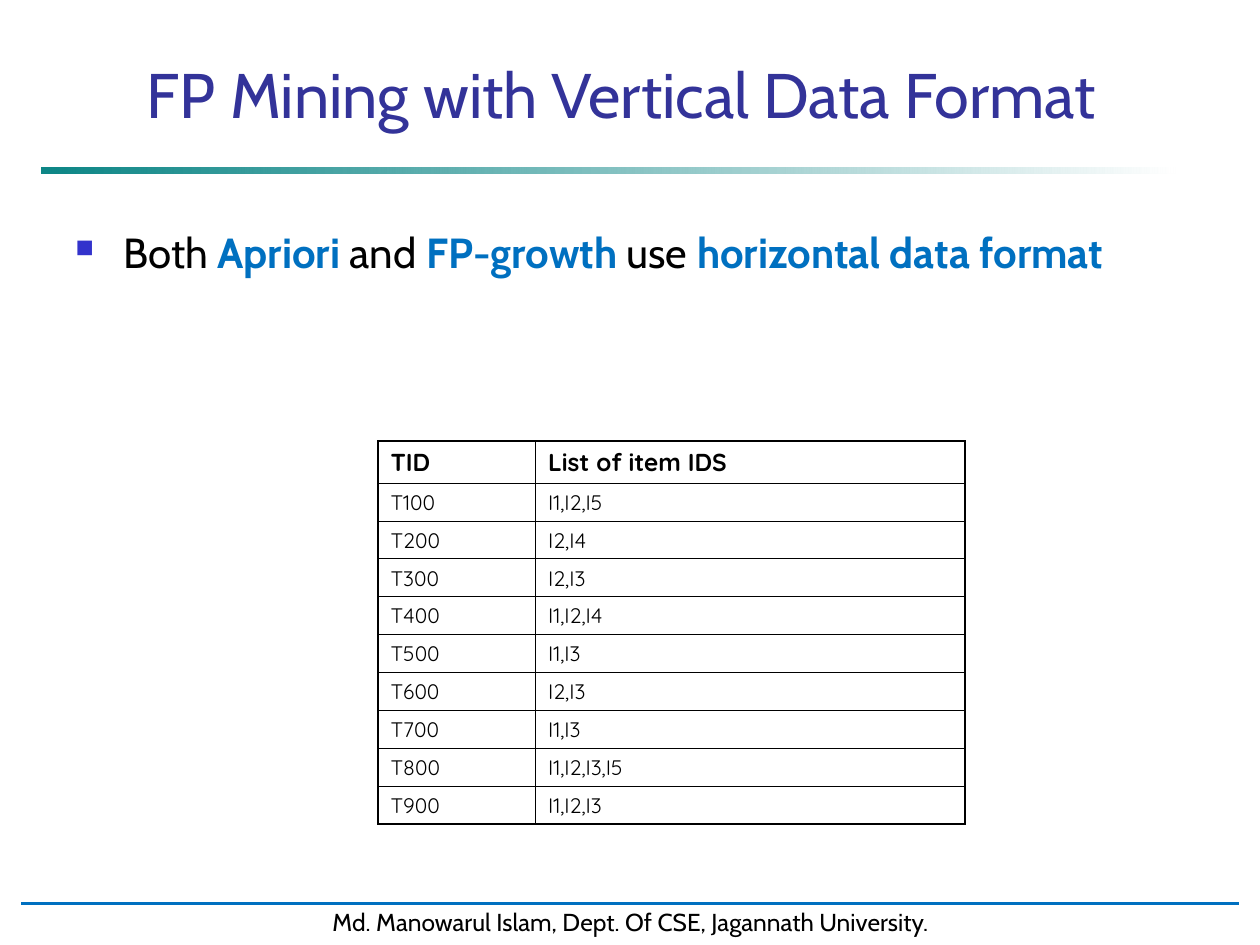
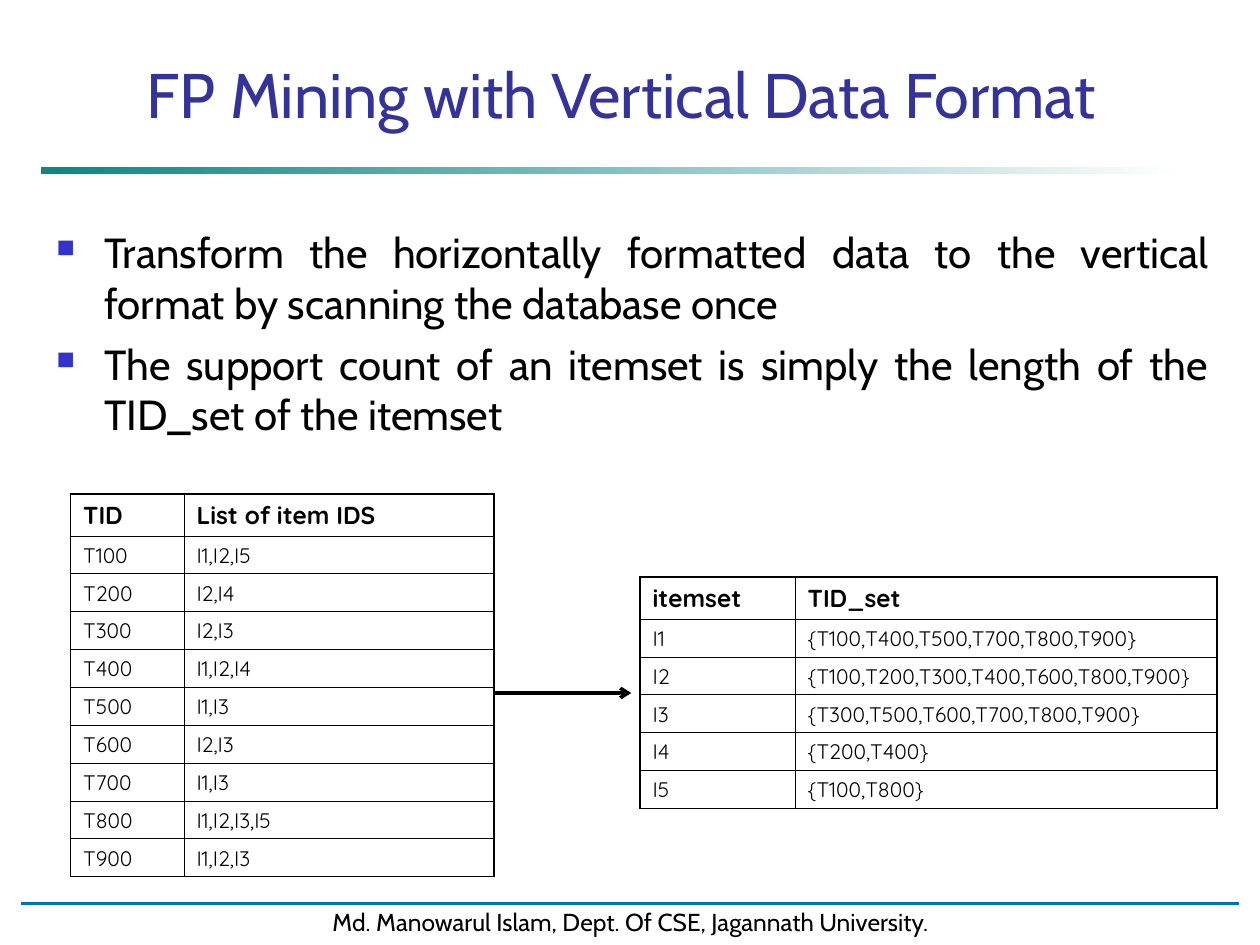
"""Build two slides on mining frequent patterns with the vertical data format."""
from lxml.etree import SubElement as Sub
from pptx import Presentation as Deck
from pptx.dml.color import RGBColor as RGB
from pptx.enum.shapes import MSO_CONNECTOR as LINK, MSO_SHAPE as SHAPE
from pptx.enum.text import MSO_ANCHOR as ANCHOR, MSO_AUTO_SIZE as FIT, PP_ALIGN as ALIGN
from pptx.oxml.ns import qn
from pptx.util import Inches, Pt

BLACK = RGB(0, 0, 0)
WHITE = RGB(255, 255, 255)
TEAL = RGB(0, 128, 128)
BLUE = RGB(0, 112, 192)
NAVY = RGB(0x33, 0x33, 0x99)
MARK = RGB(0x33, 0x33, 0xCC)
SANS, ROUND = "Cabin", "Quicksand"
THICK, THIN = 1.08, 0.45

TITLE = "FP Mining with Vertical Data Format"
FOOTER = "Md. Manowarul Islam, Dept. Of CSE, Jagannath University."
SALES = [
    ("TID", "List of item IDS"),
    ("T100", "I1,I2,I5"),
    ("T200", "I2,I4"),
    ("T300", "I2,I3"),
    ("T400", "I1,I2,I4"),
    ("T500", "I1,I3"),
    ("T600", "I2,I3"),
    ("T700", "I1,I3"),
    ("T800", "I1,I2,I3,I5"),
    ("T900", "I1,I2,I3"),
]
ITEMS = [
    ("itemset", "TID_set"),
    ("I1", "{T100,T400,T500,T700,T800,T900}"),
    ("I2", "{T100,T200,T300,T400,T600,T800,T900}"),
    ("I3", "{T300,T500,T600,T700,T800,T900}"),
    ("I4", "{T200,T400}"),
    ("I5", "{T100,T800}"),
]


def set_font(font, name, size, color, bold=False):
    """Set the face, size, colour and weight of a font."""
    font.name, font.size, font.bold = name, Pt(size), bold
    font.color.rgb = color


def add_box(slide, left, top, width, height):
    """Add a plain rectangle without a shadow."""
    box = slide.shapes.add_shape(
        SHAPE.RECTANGLE, Inches(left), Inches(top), Inches(width), Inches(height))
    box.shadow.inherit = False
    return box


def add_line(slide, start, end, y, color, width, arrow=False):
    """Add a level line, with an arrowhead at its end if asked."""
    line = slide.shapes.add_connector(
        LINK.STRAIGHT, Inches(start), Inches(y), Inches(end), Inches(y))
    line.line.color.rgb = color
    line.line.width = Pt(width)
    props = line._element.spPr
    if arrow:
        Sub(props.find(qn("a:ln")), qn("a:tailEnd"), type="arrow")
    Sub(props, qn("a:effectLst"))


def add_band(slide):
    """Add the fading band below the title."""
    band = add_box(slide, 0.33, 1.33, 9, 0.05)
    band.line.fill.background()
    band.fill.gradient()
    band.fill.gradient_angle = 0
    for stop, color in zip(band.fill.gradient_stops, (TEAL, WHITE)):
        stop.color.rgb = color
    first = next(band._element.iter(qn("a:srgbClr")))
    Sub(first, qn("a:alpha"), val="95000")


def add_foot(slide):
    """Add the footer text and the rule above it."""
    foot = add_box(slide, 0.17, 7.15, 9.67, 0.33)
    foot.fill.solid()
    foot.fill.fore_color.rgb = WHITE
    foot.line.color.rgb = WHITE
    foot.line.width = Pt(2)
    frame = foot.text_frame
    frame.word_wrap = False
    frame.vertical_anchor = ANCHOR.TOP
    para = frame.paragraphs[0]
    para.text, para.alignment = FOOTER, ALIGN.CENTER
    set_font(para.font, SANS, 14, BLACK)
    add_line(slide, 0.17, 9.83, 7.17, BLUE, 1.75)


def add_slide(deck):
    """Add a slide with the shared title, band and footer."""
    slide = deck.slides.add_slide(deck.slide_layouts[5])
    add_band(slide)
    add_foot(slide)
    title = slide.shapes.title
    title.left, title.top = Inches(0.67), Inches(0.42)
    title.width, title.height = Inches(8.52), Inches(0.67)
    frame = title.text_frame
    frame.auto_size, frame.vertical_anchor = FIT.NONE, ANCHOR.BOTTOM
    para = frame.paragraphs[0]
    para.text, para.alignment = TITLE, ALIGN.CENTER
    set_font(para.font, SANS, 36, NAVY)
    return slide


def add_mark(para):
    """Give a paragraph a hanging square bullet."""
    props = para._p.get_or_add_pPr()
    props.set("marL", str(Inches(0.38)))
    props.set("indent", str(-Inches(0.38)))
    Sub(Sub(props, qn("a:buClr")), qn("a:srgbClr"), val=str(MARK))
    Sub(props, qn("a:buSzPct"), val="60000")
    Sub(props, qn("a:buChar"), char="■")


def add_list(slide, left, width, height, points, align):
    """Add bulleted points, each a list of text runs where odd ones stand out."""
    box = slide.shapes.add_textbox(
        Inches(left), Inches(1.75), Inches(width), Inches(height))
    frame = box.text_frame
    frame.word_wrap = True
    for i, parts in enumerate(points):
        para = frame.add_paragraph() if i else frame.paragraphs[0]
        add_mark(para)
        para.alignment = align
        para.space_before = Pt(6 if i else 0)
        set_font(para.font, SANS, 24, BLACK)
        for j, part in enumerate(parts):
            run = para.add_run()
            run.text = part
            if j % 2:
                run.font.bold = True
                run.font.color.rgb = BLUE


def add_edge(cell, side, width):
    """Draw one border of a cell."""
    props = cell._tc.get_or_add_tcPr()
    edge = Sub(props, qn(f"a:ln{side}"), w=str(Pt(width)))
    Sub(Sub(edge, qn("a:solidFill")), qn("a:srgbClr"), val=str(BLACK))


def add_grid(slide, left, top, widths, rows):
    """Add a table with a bold head row and a thick outline."""
    tall = [0.33] + [0.3] * (len(rows) - 1)
    grid = slide.shapes.add_table(
        len(rows), len(widths), Inches(left), Inches(top),
        Inches(sum(widths)), Inches(sum(tall))).table
    grid.first_row = grid.horz_banding = False
    for col, width in zip(grid.columns, widths):
        col.width = Inches(width)
    for i, (row, height) in enumerate(zip(grid.rows, tall)):
        row.height = Inches(height)
        for j, cell in enumerate(row.cells):
            para = cell.text_frame.paragraphs[0]
            para.text = rows[i][j]
            set_font(para.font, ROUND, 12 if i else 14, BLACK, i == 0)
            outer = {"L": j == 0, "R": j == len(widths) - 1,
                     "T": i == 0, "B": i == len(rows) - 1}
            for side, edge in outer.items():
                add_edge(cell, side, THICK if edge else THIN)
            cell.fill.background()


def main():
    """Build and save the deck."""
    deck = Deck()
    deck.slide_width, deck.slide_height = Inches(10), Inches(7.5)

    slide = add_slide(deck)
    add_list(slide, 0.5, 9, 1, [
        ["Both ", "Apriori", " and ", "FP-growth", " use ", "horizontal data format"],
    ], ALIGN.LEFT)
    add_grid(slide, 3, 3.5, (1.25, 3.41), SALES)

    slide = add_slide(deck)
    add_list(slide, 0.35, 9.34, 5.75, [
        ["Transform the horizontally formatted data to the vertical format "
         "by scanning the database once"],
        ["The support count of an itemset is simply the length of the "
         "TID_set of the itemset"],
    ], ALIGN.JUSTIFY)
    add_grid(slide, 0.56, 3.92, (0.9, 2.46), SALES)
    add_line(slide, 3.92, 5.01, 5.5, BLACK, 2, arrow=True)
    add_grid(slide, 5.08, 4.58, (1.23, 3.35), ITEMS)

    deck.save("out.pptx")


if __name__ == "__main__":
    main()
